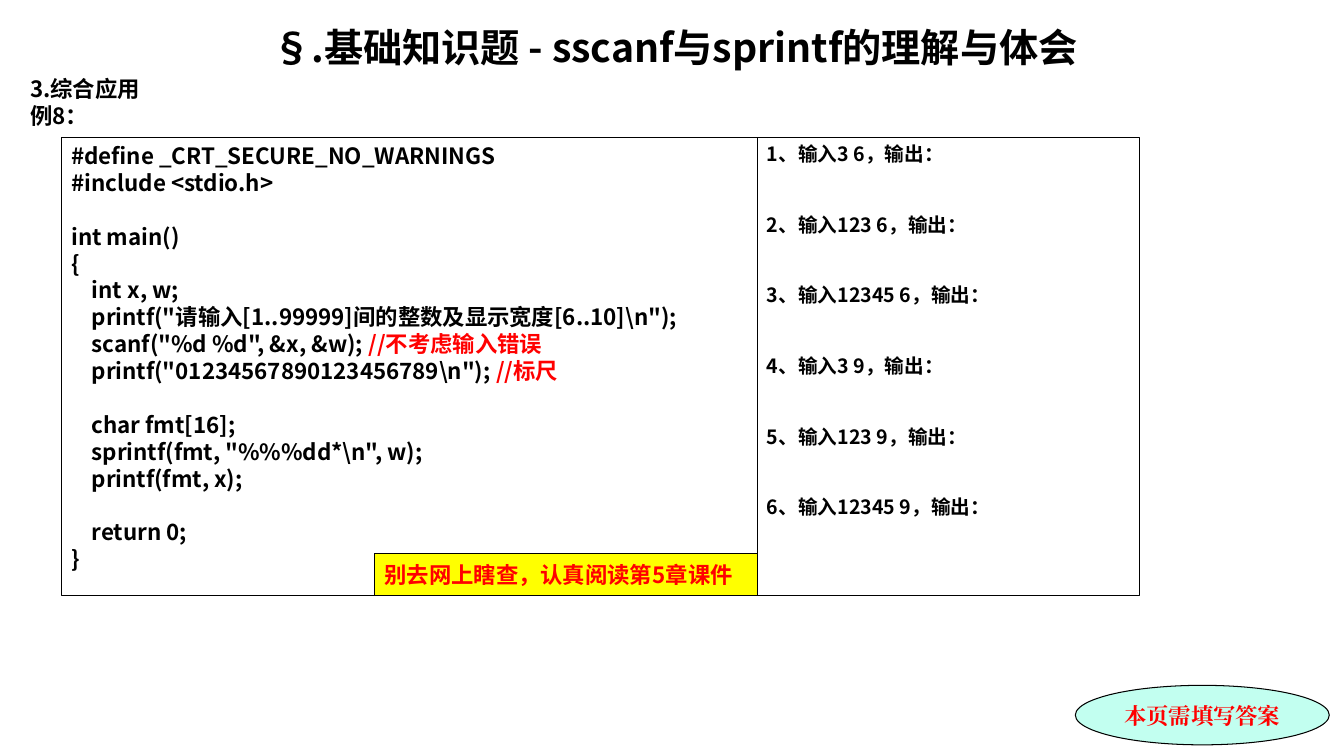
import pptx
import pptx.dml.color
import pptx.enum.shapes
import pptx.enum.text
import pptx.oxml.ns
import pptx.util
from pptx.util import Cm

BLACK = pptx.dml.color.RGBColor(0x00, 0x00, 0x00)
RED = pptx.dml.color.RGBColor(0xFF, 0x00, 0x00)
YELLOW = pptx.dml.color.RGBColor(0xFF, 0xFF, 0x00)
MINT = pptx.dml.color.RGBColor(0xC2, 0xFF, 0xF0)

SANS = "Noto Sans CJK SC"
SERIF = "Times New Roman"
LINE_HEIGHT = 1.2

RECTANGLE = pptx.enum.shapes.MSO_SHAPE.RECTANGLE
OVAL = pptx.enum.shapes.MSO_SHAPE.OVAL
LEFT = pptx.enum.text.PP_ALIGN.LEFT
CENTER = pptx.enum.text.PP_ALIGN.CENTER
TOP = pptx.enum.text.MSO_ANCHOR.TOP
MIDDLE = pptx.enum.text.MSO_ANCHOR.MIDDLE

# Code blocks are set apart by a blank line; "//" starts a red comment
CODE_BLOCKS = [
    ["#define _CRT_SECURE_NO_WARNINGS",
     "#include <stdio.h>"],
    ["int main()",
     "{",
     "    int x, w;",
     '    printf("请输入[1..99999]间的整数及显示宽度[6..10]\\n");',
     '    scanf("%d %d", &x, &w); //不考虑输入错误',
     '    printf("01234567890123456789\\n"); //标尺'],
    ["    char fmt[16];",
     '    sprintf(fmt, "%%%dd*\\n", w);',
     "    printf(fmt, x);"],
    ["    return 0;",
     "}"],
]
INPUTS = ["3 6", "123 6", "12345 6", "3 9", "123 9", "12345 9"]


def add_run(paragraph, text, size, color=BLACK, font_name=SANS):
    run = paragraph.add_run()
    run.text = text
    run.font.size = pptx.util.Pt(size)
    run.font.bold = True
    run.font.color.rgb = color
    run.font.name = font_name
    east_asian = run._r.get_or_add_rPr().makeelement(
        pptx.oxml.ns.qn("a:ea"), {"typeface": font_name})
    run.font._element.find(pptx.oxml.ns.qn("a:latin")).addnext(east_asian)


def start_paragraph(text_frame, size, align=LEFT, space_before=0):
    paragraph = text_frame.paragraphs[0]
    if paragraph.runs:
        paragraph = text_frame.add_paragraph()
        paragraph.space_before = pptx.util.Pt(space_before)
    paragraph.alignment = align
    paragraph.line_spacing = pptx.util.Pt(size * LINE_HEIGHT)
    return paragraph


def add_box(slide, kind, left, top, width, height, fill=None, anchor=TOP):
    shape = slide.shapes.add_shape(kind, Cm(left), Cm(top), Cm(width), Cm(height))
    shape.shadow.inherit = False
    if fill is None:
        shape.fill.background()
    else:
        shape.fill.solid()
        shape.fill.fore_color.rgb = fill
    shape.line.color.rgb = BLACK
    shape.line.width = pptx.util.Pt(0.75)
    shape.text_frame.word_wrap = True
    shape.text_frame.vertical_anchor = anchor
    return shape.text_frame


def add_heading(slide):
    box = slide.shapes.add_textbox(Cm(0.51), Cm(0.46), Cm(33), Cm(18))
    text_frame = box.text_frame
    text_frame.word_wrap = True
    title = start_paragraph(text_frame, 28, CENTER)
    add_run(title, "§.基础知识题 - sscanf与sprintf的理解与体会", 28)
    section = start_paragraph(text_frame, 16, space_before=3.8)
    add_run(section, "3.综合应用", 16)
    section.add_line_break()
    add_run(section, "例8：", 16)


def fill_code(text_frame, size=16):
    for block in CODE_BLOCKS:
        for index, line in enumerate(block):
            gap = size * LINE_HEIGHT if index == 0 else 0
            paragraph = start_paragraph(text_frame, size, space_before=gap)
            statement, slashes, comment = line.partition("//")
            add_run(paragraph, statement, size)
            if comment:
                add_run(paragraph, slashes + comment, size, RED)


def fill_questions(text_frame, size=14):
    for number, values in enumerate(INPUTS, start=1):
        # Two lines are left for each answer
        paragraph = start_paragraph(text_frame, size, space_before=2 * size * LINE_HEIGHT)
        add_run(paragraph, f"{number}、输入{values}，输出：", size)


def fill_label(text_frame, text, align, font_name):
    add_run(start_paragraph(text_frame, 16, align), text, 16, RED, font_name)


def main():
    presentation = pptx.Presentation()
    presentation.slide_width = Cm(33.87)
    presentation.slide_height = Cm(19.05)
    slide = presentation.slides.add_slide(presentation.slide_layouts[6])

    # Title and section
    add_heading(slide)

    # Reminder to fill in the answers
    reminder = add_box(slide, OVAL, 27.1, 17.27, 6.4, 1.5, MINT, MIDDLE)
    fill_label(reminder, "本页需填写答案", CENTER, SERIF)

    # Program and questions side by side
    fill_code(add_box(slide, RECTANGLE, 1.55, 3.46, 17.53, 11.54))
    fill_questions(add_box(slide, RECTANGLE, 19.08, 3.46, 9.64, 11.54))

    # Note in the corner of the program
    note = add_box(slide, RECTANGLE, 9.44, 13.96, 9.64, 1.04, YELLOW, MIDDLE)
    note.margin_right = Cm(0)
    fill_label(note, "别去网上瞎查，认真阅读第5章课件", LEFT, SANS)

    presentation.save("out.pptx")


if __name__ == "__main__":
    main()
